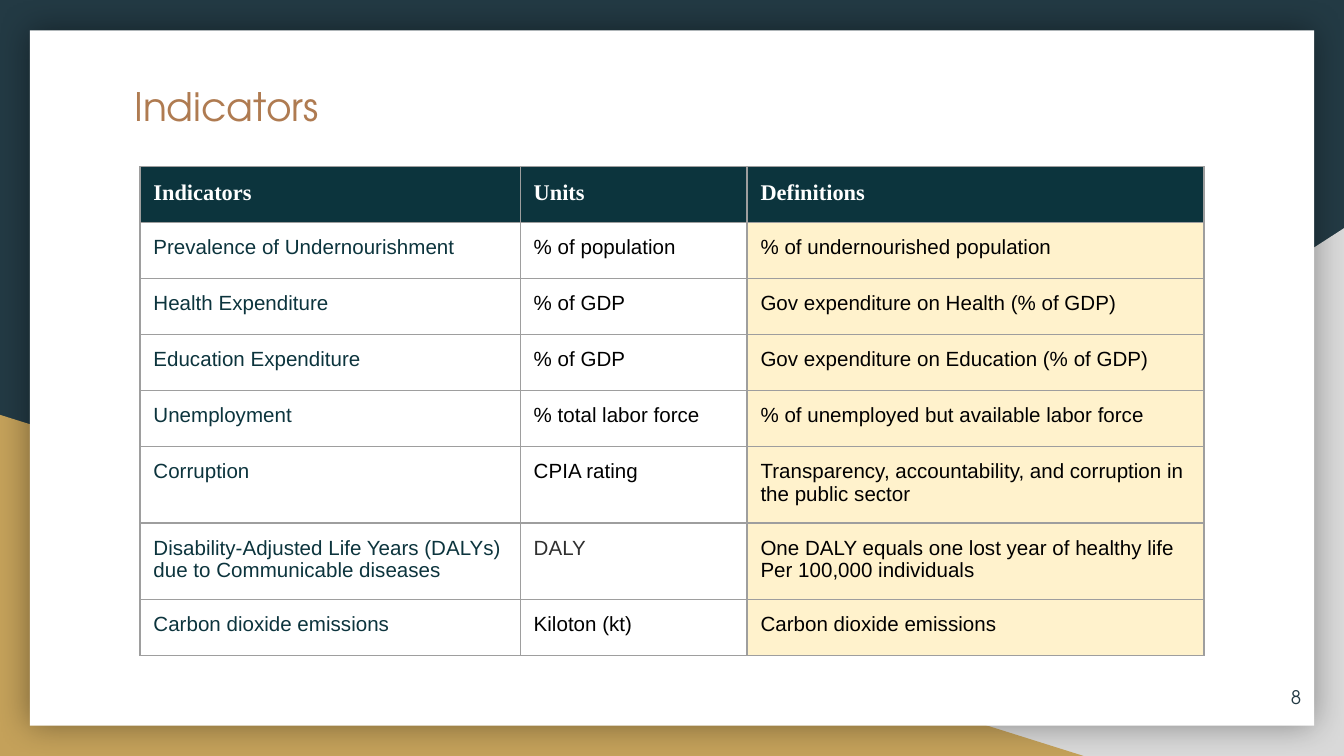
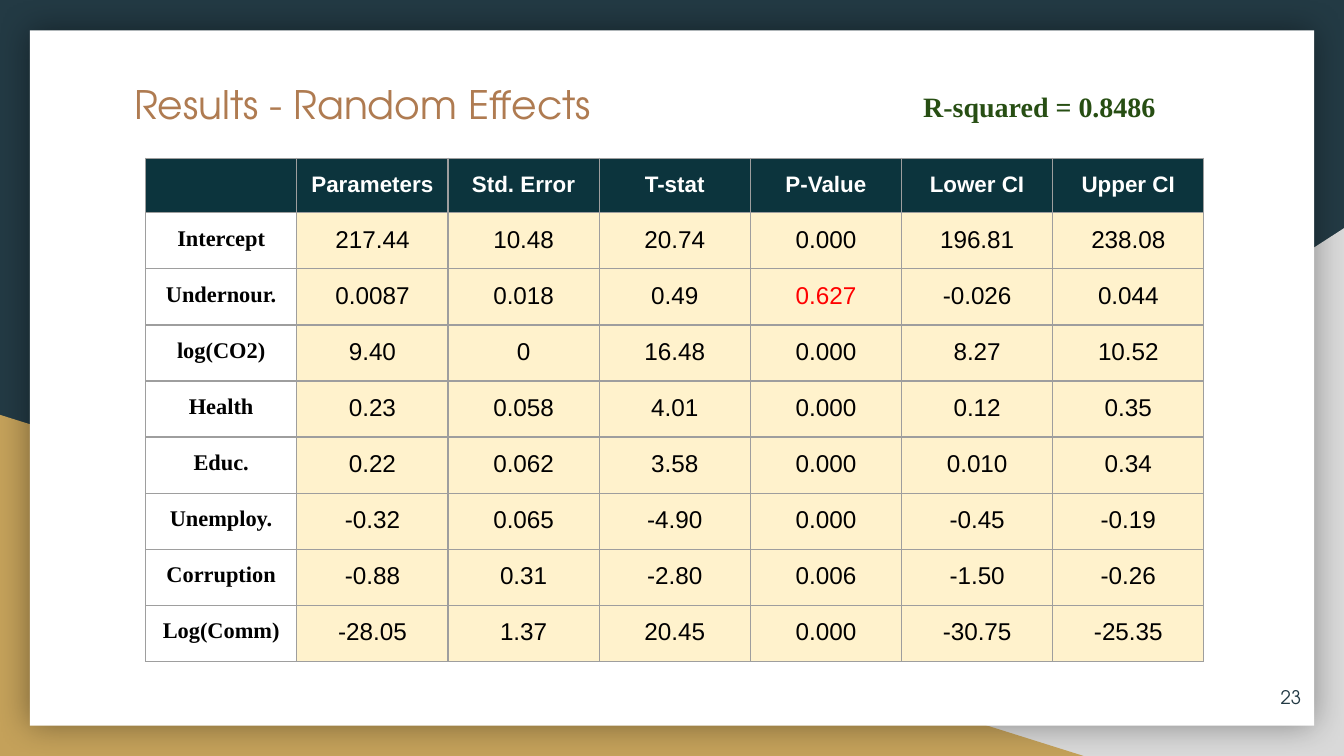
import dataclasses
import pptx
import pptx.dml.color
import pptx.enum.shapes
import pptx.enum.text
import pptx.oxml
import pptx.oxml.ns
import pptx.util

Pt = pptx.util.Pt
SHAPE = pptx.enum.shapes.MSO_SHAPE
ALIGN = pptx.enum.text.PP_ALIGN
ANCHOR = pptx.enum.text.MSO_ANCHOR


@dataclasses.dataclass(frozen=True)
class Theme:
    """Hold the colours, fonts and type sizes of the deck."""
    navy: str = "233A44"
    teal: str = "0C343D"
    gold: str = "C4A15A"
    grey: str = "D9D9D9"
    white: str = "FFFFFF"
    black: str = "000000"
    cream: str = "FFF2CC"
    copper: str = "AF7B51"
    green: str = "274E13"
    red: str = "FF0000"
    dark: str = "303030"
    rule: str = "9E9E9E"
    display: str = "TeX Gyre Adventor"
    serif: str = "Times New Roman"
    sans: str = "Arial"
    title: float = 21
    note: float = 15
    value: float = 13
    label: float = 12
    body: float = 11
    number: float = 10
    inset: float = 7.2
    line: float = 0.75


THEME = Theme()


@dataclasses.dataclass(frozen=True)
class Style:
    """Describe the type, and the fill behind it, of a text or cell."""
    font: str
    size: float
    color: str
    bold: bool = False
    fill: str = THEME.white
    align: ALIGN = ALIGN.LEFT


TITLE = Style(THEME.display, THEME.title, THEME.copper)
NUMBER = Style(THEME.display, THEME.number, THEME.navy, align=ALIGN.RIGHT)
NOTE = Style(THEME.serif, THEME.note, THEME.green, True)

HEAD = Style(THEME.serif, THEME.label, THEME.white, True, THEME.teal)
NAME = Style(THEME.sans, THEME.body, THEME.teal)
UNIT = Style(THEME.sans, THEME.body, THEME.black)
MEANING = dataclasses.replace(UNIT, fill=THEME.cream)

STAT = dataclasses.replace(HEAD, font=THEME.sans, align=ALIGN.CENTER)
TERM = Style(THEME.serif, THEME.label, THEME.black, True, align=ALIGN.CENTER)
VALUE = Style(THEME.sans, THEME.value, THEME.black, fill=THEME.cream,
              align=ALIGN.CENTER)

TERMS = [
    ["Indicators", "Units", "Definitions"],
    ["Prevalence of Undernourishment", "% of population",
     "% of undernourished population"],
    ["Health Expenditure", "% of GDP", "Gov expenditure on Health (% of GDP)"],
    ["Education Expenditure", "% of GDP",
     "Gov expenditure on Education (% of GDP)"],
    ["Unemployment", "% total labor force",
     "% of unemployed but available labor force"],
    ["Corruption", "CPIA rating",
     "Transparency, accountability, and corruption in the public sector"],
    ["Disability-Adjusted Life Years (DALYs)\ndue to Communicable diseases",
     "DALY",
     "One DALY equals one lost year of healthy life\nPer 100,000 individuals"],
    ["Carbon dioxide emissions", "Kiloton (kt)", "Carbon dioxide emissions"],
]

RESULTS = [
    ["", "Parameters", "Std. Error", "T-stat", "P-Value", "Lower CI",
     "Upper CI"],
    ["Intercept", "217.44", "10.48", "20.74", "0.000", "196.81", "238.08"],
    ["Undernour.", "0.0087", "0.018", "0.49", "0.627", "-0.026", "0.044"],
    ["log(CO2)", "9.40", "0", "16.48", "0.000", "8.27", "10.52"],
    ["Health", "0.23", "0.058", "4.01", "0.000", "0.12", "0.35"],
    ["Educ.", "0.22", "0.062", "3.58", "0.000", "0.010", "0.34"],
    ["Unemploy.", "-0.32", "0.065", "-4.90", "0.000", "-0.45", "-0.19"],
    ["Corruption", "-0.88", "0.31", "-2.80", "0.006", "-1.50", "-0.26"],
    ["Log(Comm)", "-28.05", "1.37", "20.45", "0.000", "-30.75", "-25.35"],
]


def tint(fill, color):
    """Make a fill solid in the given colour."""
    fill.solid()
    fill.fore_color.rgb = pptx.dml.color.RGBColor.from_string(color)


def write(frame, text, style):
    """Write text in one style, one paragraph a line."""
    frame.text = text
    for para in frame.paragraphs:
        para.alignment = style.align
        para.font.name = style.font
        para.font.size = Pt(style.size)
        para.font.bold = style.bold
        tint(para.font.fill, style.color)


def add_text(slide, box, text, style, anchor=ANCHOR.TOP):
    """Add a wrapped text box with even insets."""
    frame = slide.shapes.add_textbox(*map(Pt, box)).text_frame
    frame.word_wrap = True
    frame.vertical_anchor = anchor
    frame.margin_left = frame.margin_right = Pt(THEME.inset)
    frame.margin_top = frame.margin_bottom = Pt(THEME.inset)
    write(frame, text, style)


def add_block(slide, kind, box, color):
    """Add a plain filled shape without outline or shadow."""
    shape = slide.shapes.add_shape(kind, *map(Pt, box))
    shape.shadow.inherit = False
    shape.line.fill.background()
    tint(shape.fill, color)
    return shape


def add_glow(shape):
    """Give a shape a soft shadow on all sides."""
    space = pptx.oxml.ns.nsdecls("a")
    glow = pptx.oxml.parse_xml(
        f'<a:outerShdw {space} blurRad="{Pt(18)}" dist="0" dir="0" '
        f'algn="ctr" rotWithShape="0"><a:srgbClr val="{THEME.black}">'
        '<a:alpha val="40000"/></a:srgbClr></a:outerShdw>')
    shape.element.spPr.find(pptx.oxml.ns.qn("a:effectLst")).append(glow)


def add_rules(cell):
    """Draw a thin rule on each side of a cell."""
    space = pptx.oxml.ns.nsdecls("a")
    props = cell._tc.get_or_add_tcPr()
    for side in "LRTB":
        props.append(pptx.oxml.parse_xml(
            f'<a:ln{side} {space} w="{Pt(THEME.line)}"><a:solidFill>'
            f'<a:srgbClr val="{THEME.rule}"/></a:solidFill></a:ln{side}>'))


def add_table(slide, left, top, widths, heights, rows, head, styles, marks):
    """Add a table styled by column, with marked cells recoloured."""
    shape = slide.shapes.add_table(
        len(rows), len(widths), Pt(left), Pt(top),
        Pt(sum(widths)), Pt(sum(heights)))
    table = shape.table
    table.first_row = table.horz_banding = False
    for column, width in zip(table.columns, widths):
        column.width = Pt(width)
    for row, height in zip(table.rows, heights):
        row.height = Pt(height)
    for r, texts in enumerate(rows):
        for c, text in enumerate(texts):
            cell = table.cell(r, c)
            style = styles[c] if r else head
            color = marks.get((r, c), style.color)
            cell.margin_left = cell.margin_right = Pt(THEME.inset)
            cell.margin_top = cell.margin_bottom = Pt(THEME.inset)
            add_rules(cell)
            tint(cell.fill, style.fill)
            write(cell.text_frame, text,
                  dataclasses.replace(style, color=color))


def add_page(deck, title, top, number):
    """Add a slide with the shared backdrop, title and page number."""
    slide = deck.slides.add_slide(deck.slide_layouts[6])
    tint(slide.background.fill, THEME.navy)
    wedge = add_block(slide, SHAPE.RIGHT_TRIANGLE,
                      (282.25, 122.25, 437.75, 282.75), THEME.grey)
    wedge.element.spPr.get_or_add_xfrm().set("flipH", "1")
    add_block(slide, SHAPE.RIGHT_TRIANGLE, (0, 222.25, 580.5, 182.75),
              THEME.gold)
    add_glow(add_block(slide, SHAPE.RECTANGLE, (16, 16.25, 688, 372.5),
                       THEME.white))
    add_text(slide, (64.8, top, 591, 42.5), title, TITLE)
    add_text(slide, (661, 358, 43.2, 31), number, NUMBER, ANCHOR.MIDDLE)
    return slide


def main():
    """Build both slides and save the deck."""
    deck = pptx.Presentation()
    deck.slide_width, deck.slide_height = Pt(720), Pt(405)

    slide = add_page(deck, "Indicators", 36.75, "8")
    add_table(slide, 75, 89.4, [203.75, 121.5, 244.75], [30] * 8, TERMS,
              HEAD, [NAME, UNIT, MEANING], {(6, 1): THEME.dark})

    slide = add_page(deck, "Results - Random Effects", 36, "23")
    add_table(slide, 78, 84.75, [81] * 7, [29.25] * 3 + [28] * 6, RESULTS,
              STAT, [TERM] + [VALUE] * 6, {(2, 4): THEME.red})
    add_text(slide, (487.5, 41, 150, 32.4), "R-squared = 0.8486", NOTE)

    deck.save("out.pptx")


if __name__ == "__main__":
    main()
